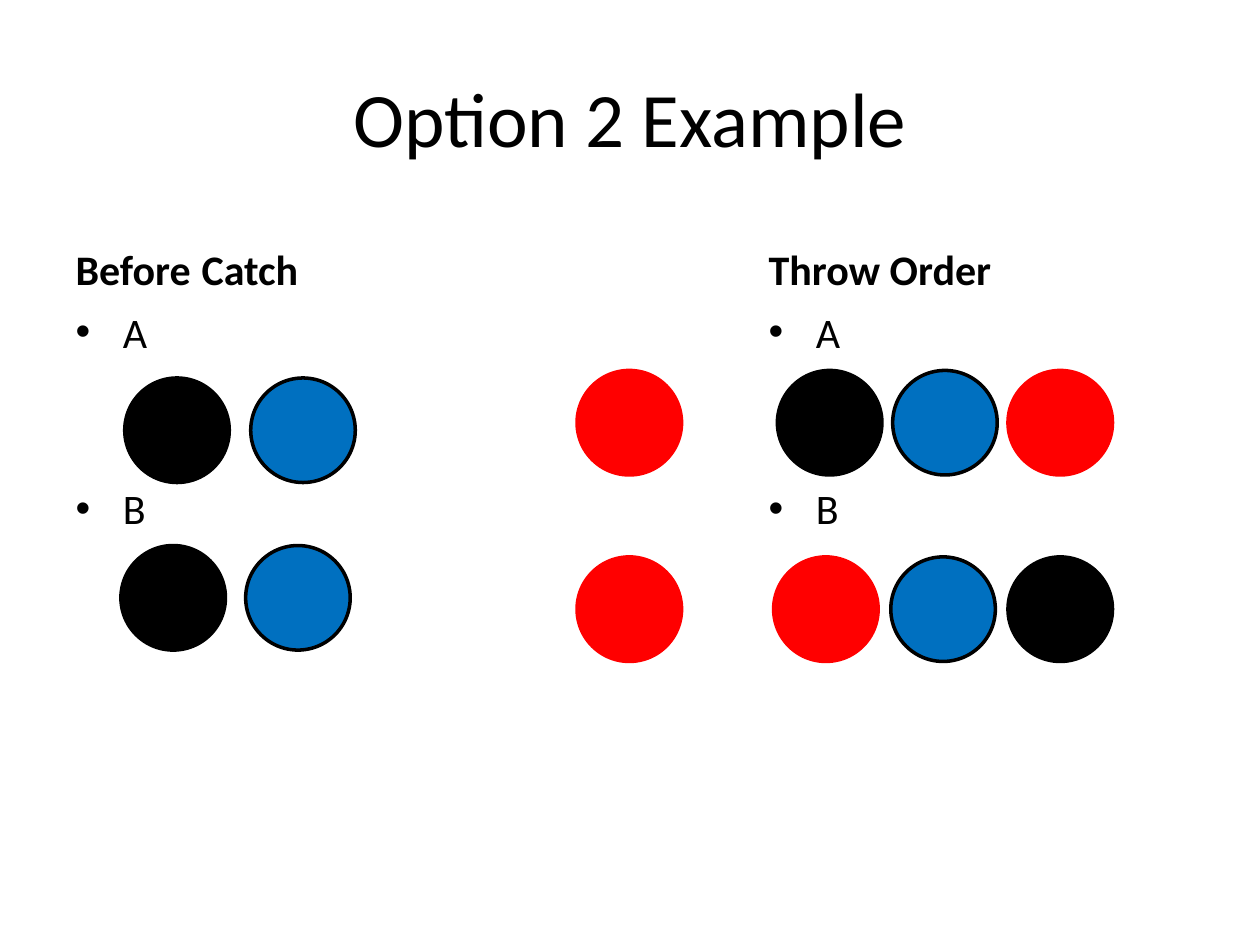
"""Build the Option 2 example slide comparing held, caught and thrown balls."""
from lxml import etree
from pptx import Presentation, util as u
from pptx.dml.color import RGBColor
from pptx.enum import shapes
from pptx.oxml.ns import qn

COLORS = {"black": "000000", "blue": "0070C0", "red": "FF0000"}
OUTLINES = {"black": "black", "blue": "black", "red": "red"}
TITLE = "Option 2 Example"
COLUMNS = [
    {"heading": "Before\tCatch", "left": 0.5, "heading_width": 5.17},
    {"heading": "Throw Order", "left": 6, "heading_width": 3.5},
]
PLAYERS = ["A", "B"]
BALL_ROWS = [
    (3, 0.99, 1, ["black", "blue"]),
    (4.33, 0.96, 0.99, ["black", "blue"]),
    (2.94, 4.58, 0, ["red"]),
    (4.42, 4.58, 0, ["red"]),
    (2.94, 6.17, 0.915, ["black", "blue", "red"]),
    (4.42, 6.14, 0.93, ["red", "blue", "black"]),
]
DIAMETER = 0.83
LIST_WIDTH, HEADING_TOP, HEADING_HEIGHT, LIST_HEIGHT = 3.5, 1.68, 0.7, 4.32
CATCH_TAB, PLAYER_GAP = 4, 72


def place(sp, left, top, width, height):
    sp.left, sp.top, sp.width, sp.height = map(u.Inches, (left, top, width, height))


def fill_text(sp, lines, size, bold=False):
    tf = sp.text_frame
    tf.text = "\n".join(lines)
    for p in tf.paragraphs:
        p.font.name, p.font.size, p.font.bold = "Calibri", u.Pt(size), bold
        p.font.color.rgb = RGBColor.from_string(COLORS["black"])
    return tf.paragraphs


def add_tab(p, inches):
    tabs = etree.SubElement(p._p.get_or_add_pPr(), qn("a:tabLst"))
    etree.SubElement(tabs, qn("a:tab"), pos=str(u.Inches(inches)), algn="l")
    p._p.pPr.insert(0, tabs)


def add_ball(s, left, top, color):
    sp = s.shapes.add_shape(shapes.MSO_SHAPE.OVAL, 0, 0, 0, 0)
    place(sp, left, top, DIAMETER, DIAMETER)
    sp.shadow.inherit = False
    sp.fill.solid()
    sp.fill.fore_color.rgb = RGBColor.from_string(COLORS[color])
    sp.line.color.rgb = RGBColor.from_string(COLORS[OUTLINES[color]])
    sp.line.width = u.Pt(2)


prs = Presentation()
prs.slide_width, prs.slide_height = u.Inches(10), u.Inches(7.5)
s = prs.slides.add_slide(prs.slide_layouts[4])
title, *bodies = s.placeholders
place(title, 0.5, 0.3, 9, 1.25)
fill_text(title, [TITLE], 44)

for column, heading, players in zip(COLUMNS, bodies[::2], bodies[1::2]):
    place(heading, column["left"], HEADING_TOP, column["heading_width"], HEADING_HEIGHT)
    p = fill_text(heading, [column["heading"]], 24, bold=True)[0]
    if "\t" in column["heading"]:
        add_tab(p, CATCH_TAB)
    place(players, column["left"], HEADING_TOP + HEADING_HEIGHT, LIST_WIDTH, LIST_HEIGHT)
    for p in fill_text(players, PLAYERS, 24)[1:]:
        p.space_before = u.Pt(PLAYER_GAP)

for top, left, step, balls in BALL_ROWS:
    for i, color in enumerate(balls):
        add_ball(s, left + i * step, top, color)

prs.save("out.pptx")
